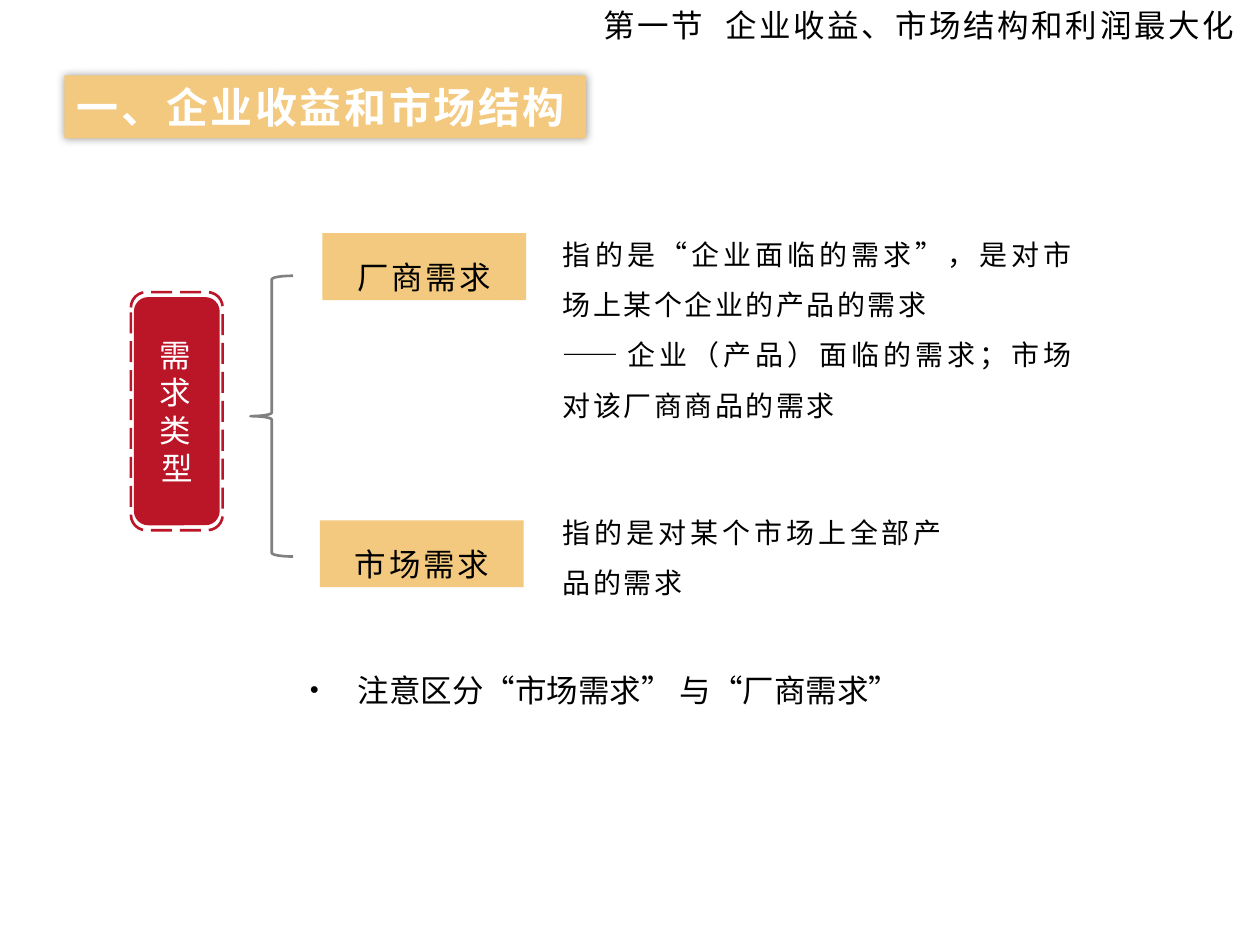
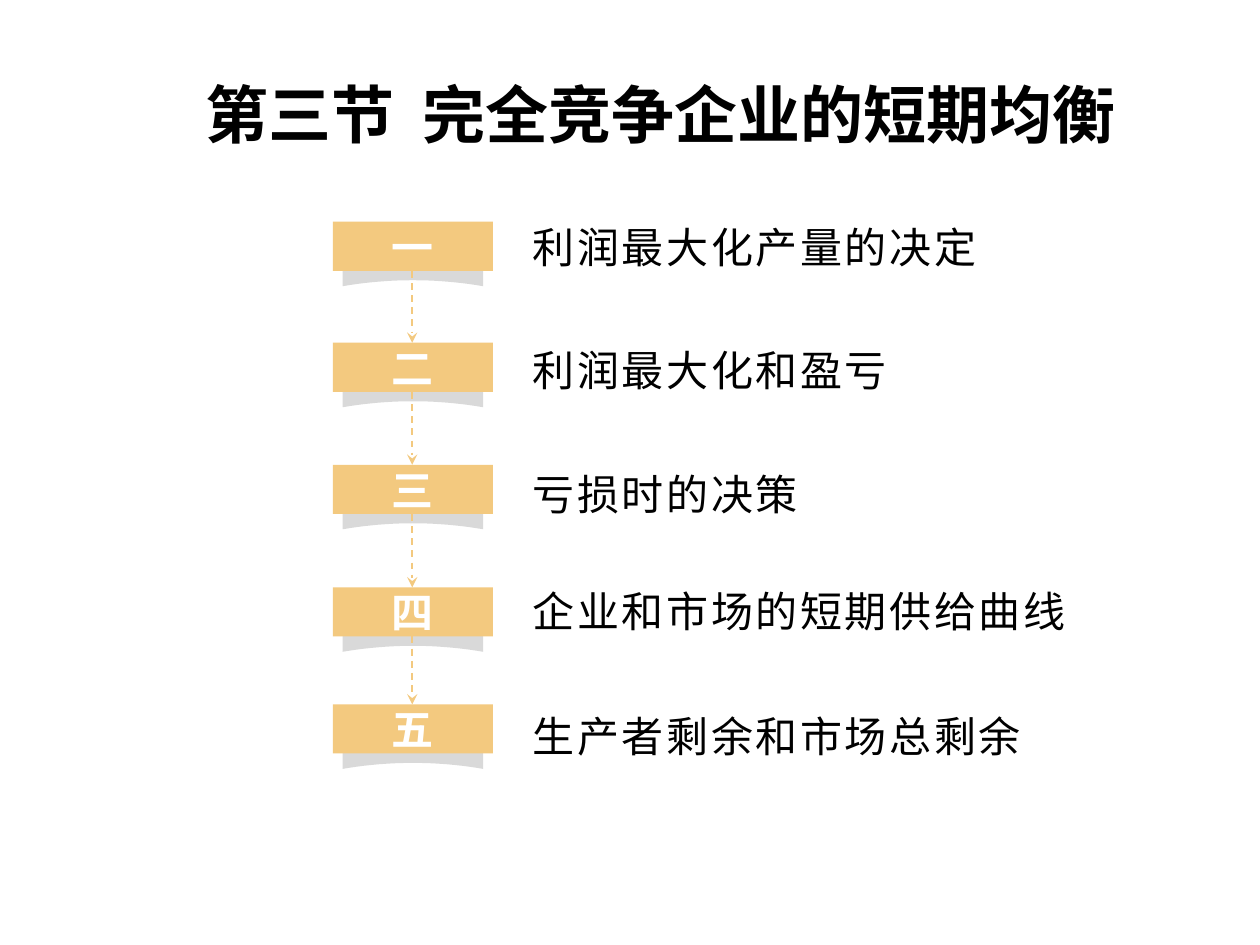
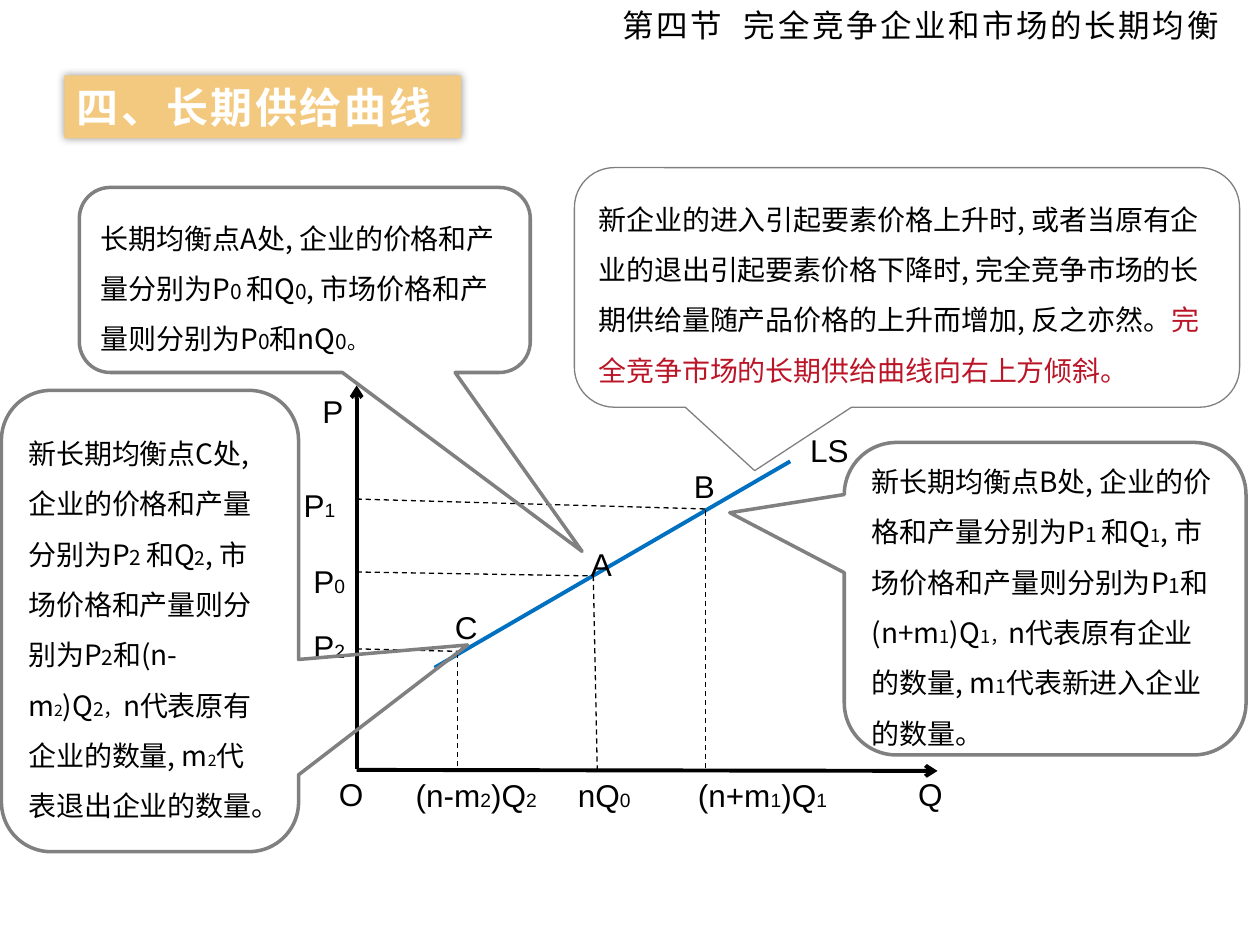
from lxml import etree
from pptx import Presentation
from pptx.dml.color import RGBColor
from pptx.enum.dml import MSO_LINE
from pptx.enum.shapes import MSO_CONNECTOR, MSO_SHAPE
from pptx.enum.text import MSO_ANCHOR, MSO_AUTO_SIZE, PP_ALIGN
from pptx.oxml.ns import qn
from pptx.util import Cm, Pt

RECT = MSO_SHAPE.RECTANGLE
ROUND = MSO_SHAPE.ROUNDED_RECTANGLE
BRACE = MSO_SHAPE.LEFT_BRACE
BUBBLE = MSO_SHAPE.ROUNDED_RECTANGULAR_CALLOUT
DASH, LONG = MSO_LINE.DASH, MSO_LINE.LONG_DASH
STRAIGHT = MSO_CONNECTOR.STRAIGHT
TOP, MID = MSO_ANCHOR.TOP, MSO_ANCHOR.MIDDLE
LEFT, CENTER, JUST = PP_ALIGN.LEFT, PP_ALIGN.CENTER, PP_ALIGN.JUSTIFY

GOLD, RED, GREY, PALE = "F3C97F", "BB1528", "808080", "D9D9D9"
BLACK, WHITE, BLUE = "000000", "FFFFFF", "0070C0"
HAN, LATIN = "Noto Sans CJK SC", "Arial"


def rgb(code):
    return RGBColor.from_string(code)


def node(parent, tag, **attrs):
    return etree.SubElement(parent, qn(tag), attrs)


def text(box, *paras, anchor=TOP, align=LEFT, lead=1, bullet=None, **style):
    frame = box.text_frame
    frame.word_wrap = True
    frame.auto_size = MSO_AUTO_SIZE.NONE
    frame.vertical_anchor = anchor
    for i, runs in enumerate(paras):
        para = frame.add_paragraph() if i else frame.paragraphs[0]
        if bullet:
            props = para._p.get_or_add_pPr()
            props.set("marL", str(Cm(0.97)))
            props.set("indent", str(Cm(-0.97)))
            node(props, "a:buSzPct", val="50000")
            node(props, "a:buChar", char=bullet)
        para.alignment = align
        para.line_spacing = lead
        para.space_before = Pt(0)
        for item in [runs] if isinstance(runs, str) else runs:
            words, change = (item, {}) if isinstance(item, str) else item
            add_run(para, words, **{**style, **change})
    return box


def add_run(para, words, size=18, color=BLACK, face=HAN, bold=False, space=0):
    run = para.add_run()
    run.text = words
    font = run.font
    font.size, font.bold = Pt(size), bold
    font.color.rgb = rgb(color)
    font.name = face
    props = font._element
    node(props, "a:ea", typeface=face)
    if space:
        props.set("spc", str(int(space * 100)))


def sub(words, size=11):
    return words, {"size": size}


def place(shape, x, y, w, h):
    shape.left, shape.top, shape.width, shape.height = map(Cm, (x, y, w, h))
    return shape


def note(slide, x, y, w, h):
    return slide.shapes.add_textbox(Cm(x), Cm(y), Cm(w), Cm(h))


def paint(shape, fill=None, line=None, width=1, dash=None):
    shape.shadow.inherit = False
    if fill:
        shape.fill.solid()
        shape.fill.fore_color.rgb = rgb(fill)
    else:
        shape.fill.background()
    if line:
        shape.line.color.rgb = rgb(line)
        shape.line.width = Pt(width)
        if dash:
            shape.line.dash_style = dash
    else:
        shape.line.fill.background()
    return shape


def draw(slide, kind, x, y, w, h, adjust=(), **look):
    shape = slide.shapes.add_shape(kind, Cm(x), Cm(y), Cm(w), Cm(h))
    for i, value in enumerate(adjust):
        shape.adjustments[i] = value
    return paint(shape, **look)


def link(slide, x1, y1, x2, y2, color=BLACK, width=0.75, dash=None, head=None):
    wire = slide.shapes.add_connector(STRAIGHT, Cm(x1), Cm(y1), Cm(x2), Cm(y2))
    wire.line.color.rgb = rgb(color)
    wire.line.width = Pt(width)
    if dash:
        wire.line.dash_style = dash
    if head:
        node(wire.line._ln, "a:tailEnd", type=head)
    node(wire._element.spPr, "a:effectLst")


def start(deck, layout, part, name, x, y, w, gap, **style):
    slide = deck.slides.add_slide(deck.slide_layouts[layout])
    box = place(slide.shapes.title, x, y, w, 1.8)
    text(box, [part, (" ", {"space": gap}), name], **style)
    return slide


def banner(slide, words, w):
    box = draw(slide, RECT, 1.3, 1.52, w, 1.27, fill=GOLD)
    glow = node(box._element.spPr.find(qn("a:effectLst")), "a:outerShdw",
                blurRad=str(Pt(5)), dist="0", dir="0", algn="ctr", rotWithShape="0")
    node(node(glow, "a:srgbClr", val=BLACK), "a:alpha", val="40000")
    text(box, words, size=24, color=WHITE, bold=True, space=1.5)


def curl(slide, x, y, w):
    half, steps = w / 2, 20
    dots = [(x, y + 0.12), (x + half, y), (x + w, y + 0.12)]
    for i in range(steps + 1):
        t = 1 - 2 * i / steps
        dots.append((x + half + half * t, y + 0.36 + 0.12 * t * t))
    first, *rest = [(Cm(a), Cm(b)) for a, b in dots]
    pen = slide.shapes.build_freeform(*first, scale=1.0)
    pen.add_line_segments(rest, close=True)
    paint(pen.convert_to_shape(), fill=PALE)


def demand(deck):
    slide = start(deck, 1, "第一节", "企业收益、市场结构和利润最大化",
                  11.91, 0, 13.51, 7, space=1.5)
    banner(slide, "一、企业收益和市场结构", 10.52)
    for words, x, y in [("厂商需求", 6.5, 4.7), ("市场需求", 6.45, 10.49)]:
        box = draw(slide, RECT, x, y, 4.11, 1.35, fill=GOLD)
        text(box, words, align=CENTER, lead=1.5, space=1.5)
    facts = [
        (4.32, 10.82, 5.26, ["指的是“企业面临的需求”，是对市场上某个企业的产品的需求",
                             "——企业（产品）面临的需求；市场对该厂商商品的需求"]),
        (9.93, 8.2, 2.18, ["指的是对某个市场上全部产品的需求"]),
    ]
    for y, w, h, paras in facts:
        text(note(slide, 11.1, y, w, h), *paras, size=16, align=JUST, lead=1.5, space=1.5)
    draw(slide, ROUND, 2.64, 5.89, 1.85, 4.8, line=RED, width=1.5, dash=LONG)
    core = draw(slide, ROUND, 2.7, 5.99, 1.73, 4.6, fill=RED)
    text(core, "需求类型", anchor=MID, align=CENTER, color=WHITE, space=1.5)
    draw(slide, BRACE, 5.05, 5.56, 0.86, 5.66, (0.083, 0.5), line=GREY, width=1.5)
    body = place(slide.placeholders[1], 5.99, 13.39, 16.33, 1.02)
    text(body, "注意区分“市场需求” 与“厂商需求”", bullet="●")


def outline(deck):
    slide = start(deck, 5, "第三节", "完全竞争企业的短期均衡",
                  3.89, 1.4, 19.23, 8, size=36, bold=True)
    steps = [
        ("一", 4.47, "利润最大化产量的决定", 4.34),
        ("二", 6.91, "利润最大化和盈亏", 6.83),
        ("三", 9.37, "亏损时的决策", 9.32),
        ("四", 11.84, "企业和市场的短期供给曲线", 11.68),
        ("五", 14.2, "生产者剩余和市场总剩余", 14.2),
    ]
    for mark, y, words, top in steps:
        curl(slide, 6.91, y + 0.82, 2.83)
        box = draw(slide, RECT, 6.71, y, 3.23, 0.99, fill=GOLD)
        text(box, mark, anchor=MID, align=CENTER, size=24, color=WHITE, bold=True, space=1.5)
        text(note(slide, 10.49, top, 0.91 * len(words) + 0.53, 1.27), words, size=24, space=1.5)
    for (_, y, *_), (_, end, *_) in zip(steps, steps[1:]):
        link(slide, 8.31, y + 0.99, 8.31, end, GOLD, 1, DASH, "stealth")


def graph(slide):
    link(slide, 7.19, 15.5, 7.19, 7.77, width=2.25, head="arrow")
    link(slide, 7.19, 15.52, 18.9, 15.54, width=2.25, head="arrow")
    link(slide, 8.76, 13.46, 15.93, 9.3, BLUE, 2.25)
    guides = [
        (7.19, 10.06, 14.22, 10.26), (14.22, 10.29, 14.22, 15.49),
        (7.19, 11.53, 11.96, 11.61), (11.96, 11.61, 12.04, 15.52),
        (7.19, 13.08, 9.22, 13.13), (9.22, 13.16, 9.22, 15.52),
    ]
    for ends in guides:
        link(slide, *ends, dash=DASH)
    labels = [
        ("P", 6.25, 7.77, 1.09), ("O", 6.58, 15.49, 1.09), ("Q", 18.26, 15.49, 1.09),
        ("LS", 16.08, 8.56, 1.55), ("B", 13.74, 9.3, 0.94),
        ("C", 8.92, 12.14, 0.94), ("A", 11.66, 10.87, 0.94),
        (["P", sub("1")], 5.87, 9.68, 1.5),
        (["P", sub("0")], 6.07, 11.2, 1.3),
        (["P", sub("2")], 6.07, 12.52, 1.3),
        (["(n+m", sub("1"), ")Q", sub("1")], 13.82, 15.52, 3.2),
        (["(n-m", sub("2"), ")Q", sub("2")], 8.13, 15.52, 3.05),
        (["nQ", sub("0")], 11.4, 15.52, 1.7),
    ]
    for words, x, y, w in labels:
        text(note(slide, x, y, w, 1), words, face=LATIN)


def supply(deck):
    slide = start(deck, 5, "第四节", "完全竞争企业和市场的长期均衡",
                  12.29, 0, 12.8, 7, space=1.5)
    banner(slide, "四、长期供给曲线", 8)
    graph(slide)
    price = "企业的价格和产量分别为P"
    market = ", 市场价格和产量则分别为P"
    count = "n代表原有企业的数量, m"
    bubbles = [
        ((1.6, 3.78, 9.09, 3.73), (0.615, 1.467), 2, MID,
         ["长期均衡点A处, " + price, sub("0 ", 12), "和Q", sub("0", 12),
          market, sub("0", 12), "和nQ", sub("0。", 12)]),
        ((17.02, 8.92, 8.1, 6.3), (-0.785, -0.275), 2, MID,
         ["新长期均衡点B处, " + price, sub("1 ", 12), "和Q", sub("1", 10.5),
          market, sub("1", 12), "和(n+m", sub("1", 10.5), ")Q", sub("1，", 10.5),
          count, sub("1"), "代表新进入企业的数量。"]),
        ((0.03, 7.87, 5.99, 9.3), (1.069, 0.052), 2, MID,
         ["新长期均衡点C处, " + price, sub("2 ", 12), "和Q", sub("2"),
          market, sub("2", 12), "和(n-m", sub("2", 9), ")Q", sub("2，"),
          count, sub("2", 9), "代表退出企业的数量。"]),
        ((11.58, 3.38, 13.41, 4.83), (-0.229, 0.765), 0.75, TOP,
         ["新企业的进入引起要素价格上升时, 或者当原有企业的退出引起要素价格下降时, "
          "完全竞争市场的长期供给量随产品价格的上升而增加, 反之亦然。",
          ("完全竞争市场的长期供给曲线向右上方倾斜。", {"color": RED})]),
    ]
    for area, tip, width, anchor, runs in bubbles:
        box = draw(slide, BUBBLE, *area, (*tip, 0.167), line=GREY, width=width)
        text(box, runs, anchor=anchor, size=16, lead=1.5)


def main():
    deck = Presentation()
    deck.slide_width, deck.slide_height = Cm(25.4), Cm(19.05)
    demand(deck)
    outline(deck)
    supply(deck)
    deck.save("out.pptx")


if __name__ == "__main__":
    main()
